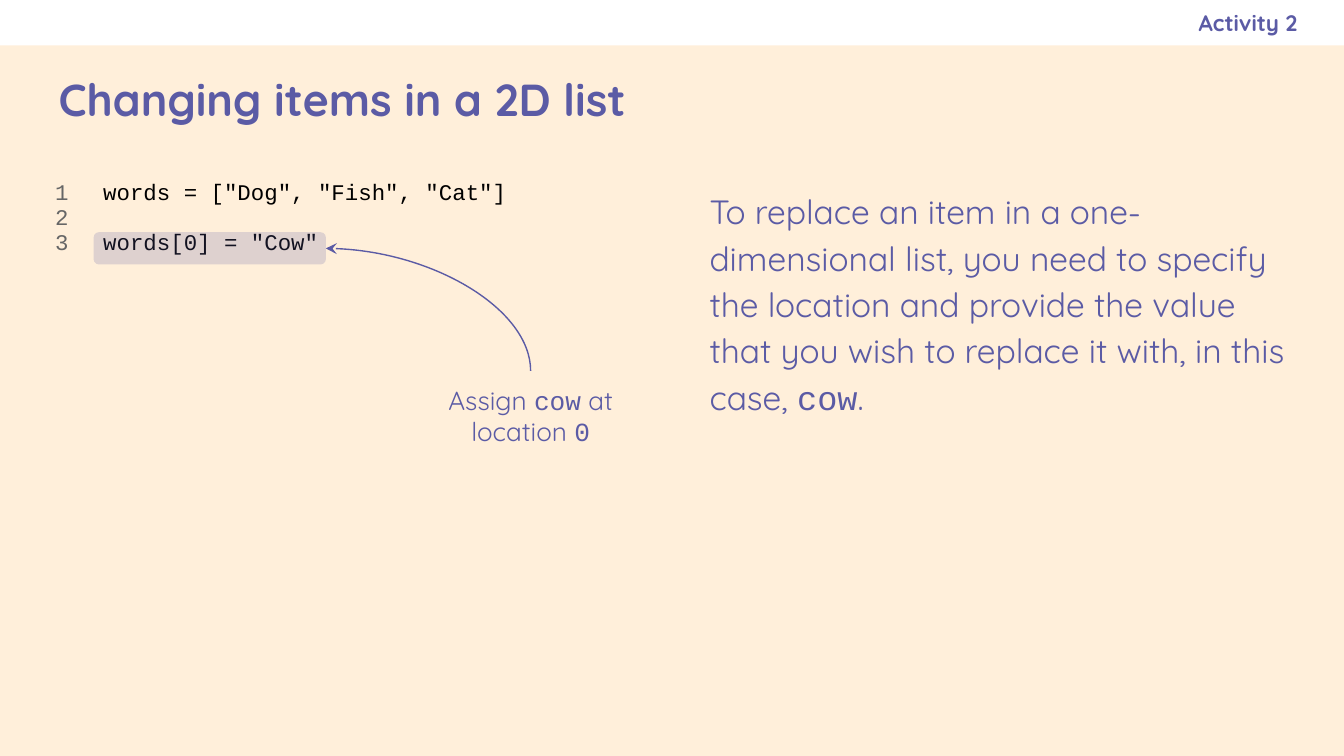
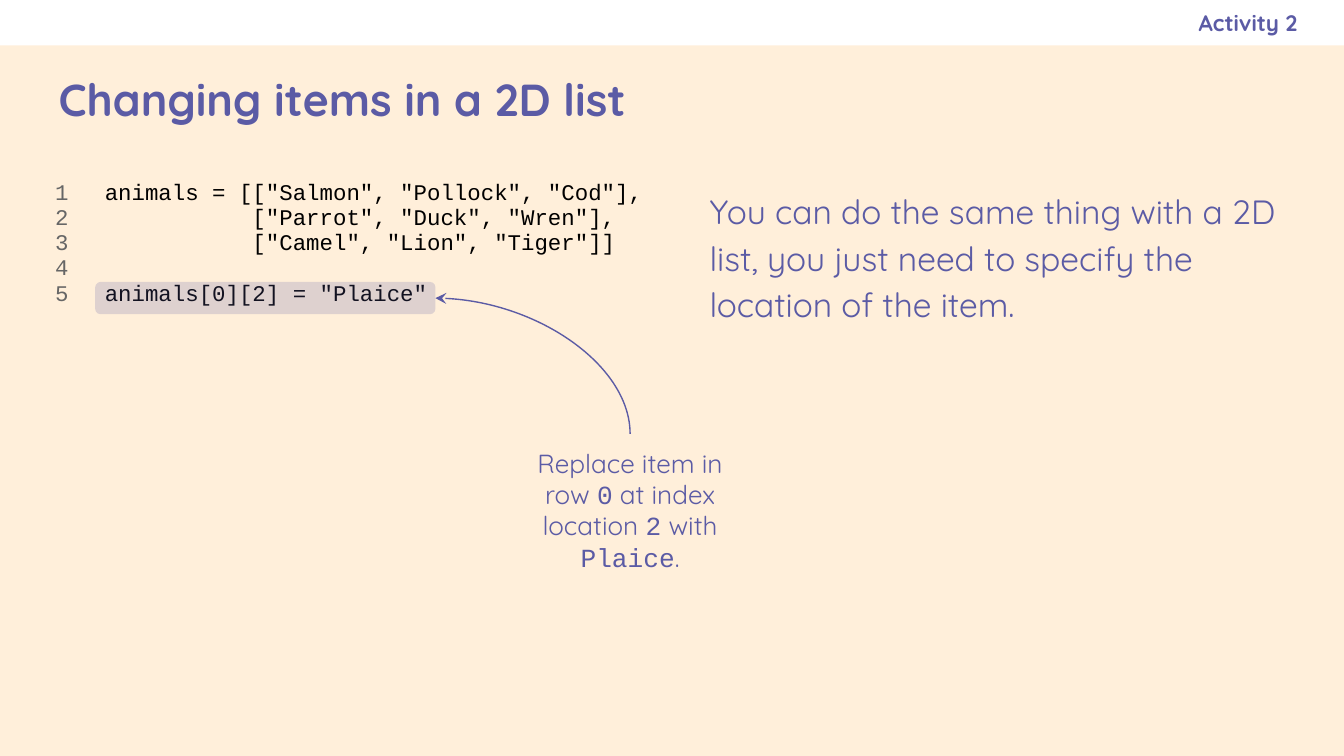
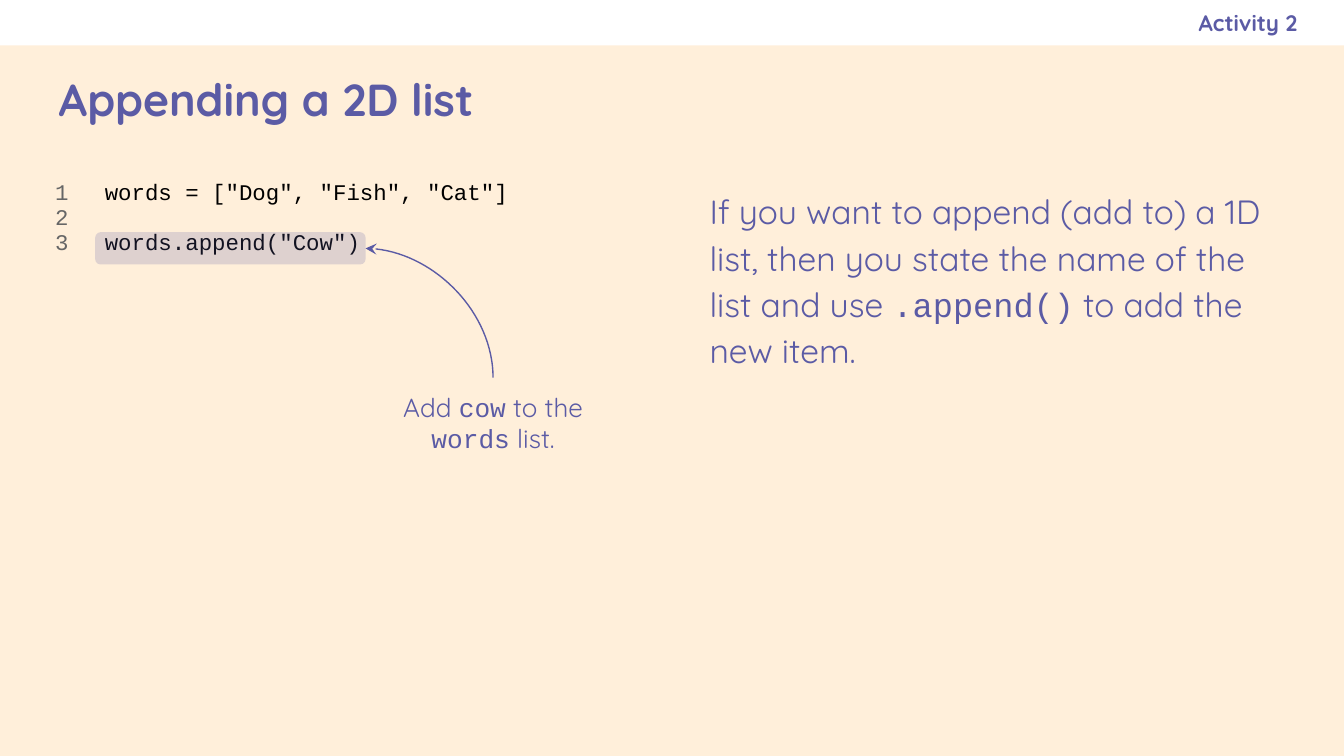
"""Build three slides on changing and appending items in lists."""
import lxml.etree
import pptx
import pptx.dml.color
import pptx.enum.shapes
import pptx.enum.text
import pptx.oxml.ns
import pptx.text.text
import pptx.util

Cm = pptx.util.Cm
Pt = pptx.util.Pt
qn = pptx.oxml.ns.qn
ALIGN = pptx.enum.text.PP_ALIGN
ANCHOR = pptx.enum.text.MSO_ANCHOR
SHAPE = pptx.enum.shapes.MSO_SHAPE

COLOURS = {
    "cream": "FFEFDA",
    "white": "FFFFFF",
    "purple": "5B5BA5",
    "grey": "666666",
    "black": "000000",
}
PROSE = "Quicksand"
MONO = "Courier New"
SIDE = Cm(0.86)
BAND_HEIGHT = Cm(0.86)
CONTENT_TOP = Cm(3.25)
INSET = Cm(0.25)
CELL_INSET = Cm(0.18)
CODE_PITCH = Cm(0.47)
HIGHLIGHT_HEIGHT = Cm(0.61)
CAPTION_WIDTH = Cm(4.22)

SLIDES = [
    {
        "title": "Changing items in a 2D list",
        "body": "To replace an item in a one-dimensional list, you need to specify the "
                "location and provide the value that you wish to replace it with, "
                "in this case, `cow`.",
        "code": ['words = ["Dog", "Fish", "Cat"]', "", 'words[0] = "Cow"'],
        "columns": (Cm(0.91), Cm(10.49)),
        "highlight_width": Cm(4.39),
        "caption": "Assign `cow` at location `0`",
        "caption_place": (Cm(7.92), Cm(7.01), CAPTION_WIDTH, Cm(2.31)),
    },
    {
        "title": "Changing items in a 2D list",
        "body": "You can do the same thing with a 2D list, you just need to specify "
                "the location of the item.",
        "code": [
            'animals = [["Salmon", "Pollock", "Cod"],',
            '           ["Parrot", "Duck", "Wren"],',
            '           ["Camel", "Lion", "Tiger"]]',
            "",
            'animals[0][2] = "Plaice"',
        ],
        "columns": (Cm(0.94), Cm(10.9)),
        "highlight_width": Cm(6.43),
        "caption": "Replace item in row `0` at index location `2` with `Plaice`.",
        "caption_place": (Cm(9.8), Cm(8.2), CAPTION_WIDTH, Cm(3.02)),
    },
    {
        "title": "Appending a 2D list",
        "body": "If you want to append (add to) a 1D list, then you state the name of "
                "the list and use `.append()` to add the new item.",
        "code": ['words = ["Dog", "Fish", "Cat"]', "", 'words.append("Cow")'],
        "columns": (Cm(0.94), Cm(10.9)),
        "highlight_width": Cm(5.11),
        "caption": "Add `cow` to the `words` list.",
        "caption_place": (Cm(7.21), Cm(7.14), CAPTION_WIDTH, Cm(1.68)),
    },
]


def colour(name):
    """Return the named colour."""
    return pptx.dml.color.RGBColor.from_string(COLOURS[name])


def style_font(font, name, size, shade, bold=False):
    """Set the look of a font."""
    font.name = name
    font.size = Pt(size)
    font.bold = bold
    font.color.rgb = colour(shade)


def add_text(page, place, text, size, bold=False, align=ALIGN.LEFT, anchor=ANCHOR.TOP):
    """Add a text box whose backticked words are monospaced, and return it."""
    box = page.shapes.add_textbox(*place)
    frame = box.text_frame
    frame.word_wrap = True
    frame.vertical_anchor = anchor
    frame.margin_left = frame.margin_right = INSET
    frame.margin_top = frame.margin_bottom = INSET
    para = frame.paragraphs[0]
    para.alignment = align
    for index, piece in enumerate(text.split("`")):
        if piece:
            span = para.add_run()
            span.text = piece
            style_font(span.font, MONO if index % 2 else PROSE, size, "purple", bold)
    return box


def add_block(page, kind, place, shade):
    """Add a plain filled shape and return it."""
    block = page.shapes.add_shape(kind, *place)
    block.shadow.inherit = False
    block.fill.solid()
    block.fill.fore_color.rgb = colour(shade)
    block.line.fill.background()
    return block


def add_page(deck, title, body):
    """Add a page with its band, title, body text and activity label."""
    page = deck.slides.add_slide(deck.slide_layouts[6])
    page.background.fill.solid()
    page.background.fill.fore_color.rgb = colour("cream")
    add_block(page, SHAPE.RECTANGLE, (0, 0, deck.slide_width, BAND_HEIGHT), "white")
    add_text(page, (SIDE, Cm(0.89), Cm(23.67), Cm(1.93)), title, 24, True,
             anchor=ANCHOR.MIDDLE)
    text = add_text(page, (Cm(13.16), CONTENT_TOP, Cm(11.38), Cm(10.16)), body, 18)
    para = text.text_frame.paragraphs[0]
    para.line_spacing = 1.15
    para.space_after = Pt(16)
    label = add_text(page, (Cm(14.61), 0, Cm(9.91), BAND_HEIGHT), "Activity 2", 12,
                     True, ALIGN.RIGHT, ANCHOR.MIDDLE)
    label.text_frame.margin_right = 0
    return page


def fill_code_cell(cell, lines, shade):
    """Write lines of code into a clear, borderless cell."""
    cell.margin_left = cell.margin_right = CELL_INSET
    cell.margin_top = cell.margin_bottom = CELL_INSET
    properties = cell._tc.get_or_add_tcPr()
    for side in ("a:lnL", "a:lnR", "a:lnT", "a:lnB"):
        border = lxml.etree.SubElement(properties, qn(side))
        lxml.etree.SubElement(border, qn("a:noFill"))
    cell.fill.background()
    cell.text_frame.text = "\n".join(lines)
    for para in cell.text_frame.paragraphs:
        fonts = [span.font for span in para.runs]
        if not fonts:
            fonts = [pptx.text.text.Font(para._p.get_or_add_endParaRPr())]
        for font in fonts:
            style_font(font, MONO, 12, shade)


def add_code(page, lines, columns):
    """Add a code listing with a column of line numbers."""
    place = (SIDE, CONTENT_TOP, sum(columns), Cm(2.64))
    table = page.shapes.add_table(1, 2, *place).table
    table.first_row = table.horz_banding = False
    for column, width in zip(table.columns, columns):
        column.width = width
    numbers = [str(number) for number in range(1, len(lines) + 1)]
    fill_code_cell(table.cell(0, 0), numbers, "grey")
    fill_code_cell(table.cell(0, 1), lines, "black")


def add_curve(page, start_x, start_y, end_x, end_y):
    """Add a curved arrow that leaves upwards and arrives from the right."""
    middle_x, middle_y = (start_x + end_x) // 2, (start_y + end_y) // 2
    half_span, half_rise = (start_x - end_x) // 2, (start_y - end_y) // 2
    curve = page.shapes.add_connector(
        pptx.enum.shapes.MSO_CONNECTOR.CURVE,
        middle_x + half_rise, middle_y - half_span,
        middle_x - half_rise, middle_y + half_span)
    curve.line.color.rgb = colour("purple")
    curve.line.width = Pt(0.75)
    properties = curve._element.spPr
    properties.find(qn("a:xfrm")).set("rot", "5400000")
    properties.find(qn("a:prstGeom")).set("prst", "curvedConnector2")
    line = properties.find(qn("a:ln"))
    lxml.etree.SubElement(line, qn("a:tailEnd"), type="stealth")
    lxml.etree.SubElement(properties, qn("a:effectLst"))


def add_highlight(page, place):
    """Add a see-through rounded bar over a line of code."""
    bar = add_block(page, SHAPE.ROUNDED_RECTANGLE, place, "purple")
    bar.adjustments[0] = 0.167
    shade = bar._element.spPr.find(qn("a:solidFill"))[0]
    lxml.etree.SubElement(shade, qn("a:alpha"), val="20000")


def add_example(page, content):
    """Add the code, its caption, and the arrow to the highlighted last line."""
    add_code(page, content["code"], content["columns"])
    caption_left, caption_top, caption_width, _ = content["caption_place"]
    add_text(page, content["caption_place"], content["caption"], 14, align=ALIGN.CENTER)
    left = SIDE + content["columns"][0]
    top = CONTENT_TOP + Cm(0.2) + CODE_PITCH * (len(content["code"]) - 1)
    width = content["highlight_width"]
    add_curve(page, caption_left + caption_width // 2, caption_top,
              left + width, top + HIGHLIGHT_HEIGHT // 2)
    add_highlight(page, (left, top, width, HIGHLIGHT_HEIGHT))


def main():
    """Build and save the deck."""
    deck = pptx.Presentation()
    deck.slide_width = Cm(25.4)
    deck.slide_height = Cm(14.29)
    for content in SLIDES:
        page = add_page(deck, content["title"], content["body"])
        add_example(page, content)
    deck.save("out.pptx")


if __name__ == "__main__":
    main()
